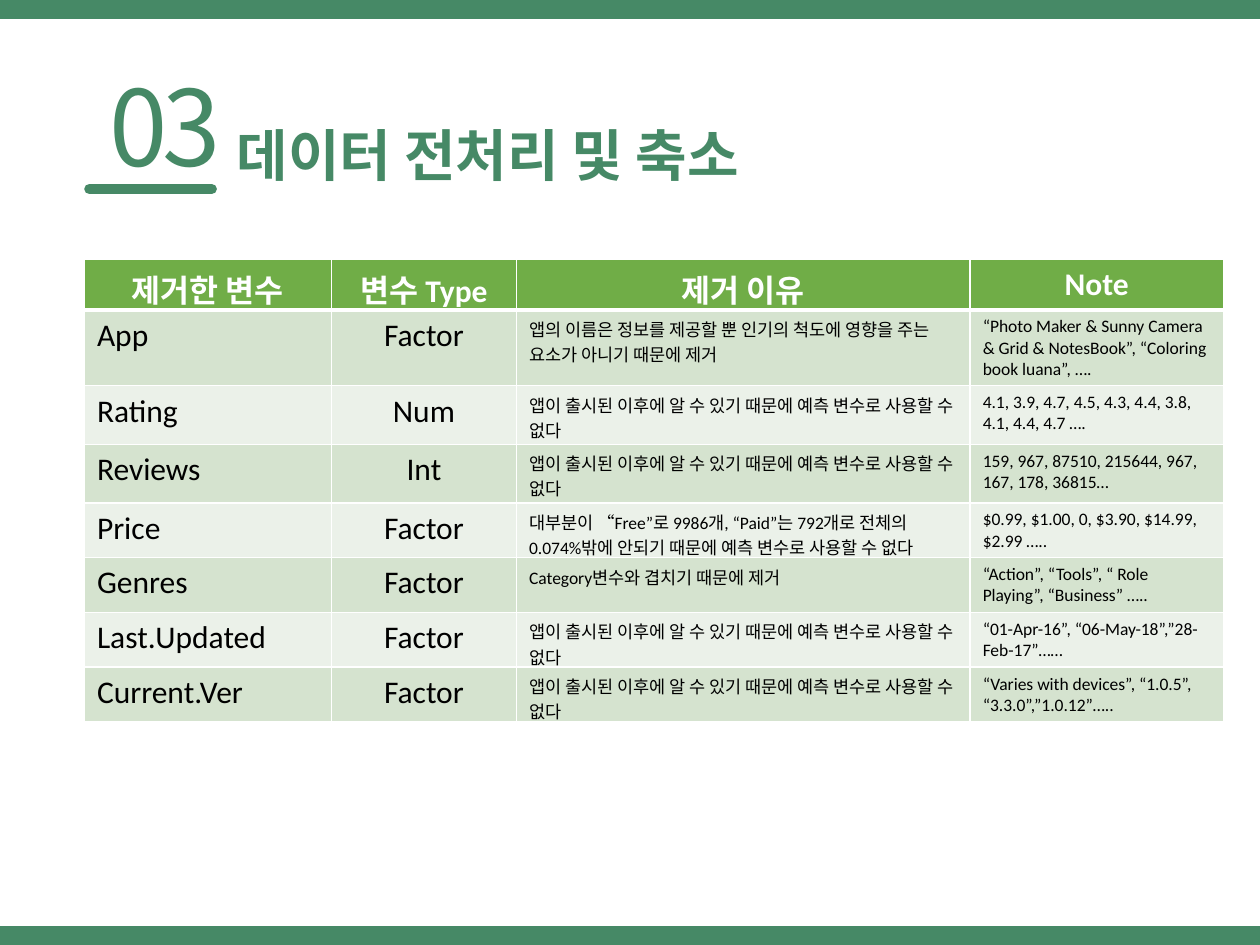
"""Build the slide on removed variables in data preprocessing."""
import lxml.etree
import pptx
import pptx.chart.data
import pptx.dml.color
import pptx.enum.shapes
import pptx.enum.text
import pptx.oxml.ns
import pptx.util

THEME = {
    "green": "468966", "header": "70AD47", "bands": ("D5E3CF", "EBF1E9"),
    "white": "FFFFFF", "black": "000000",
    "heading_font": "Noto Sans CJK KR", "body_font": "Calibri",
    "number": 60, "title": 32, "large": 18, "small": 10,
}
ALIGN = pptx.enum.text.PP_ALIGN
qn = pptx.oxml.ns.qn


def add_run(paragraph, text, size, color, font, bold=False):
    run = paragraph.add_run()
    run.text = text
    run.font.size = pptx.util.Pt(size)
    run.font.name = font
    run.font.bold = bold
    run.font.color.rgb = pptx.dml.color.RGBColor.from_string(color)
    return run


def add_border(cell, side, points):
    line = lxml.etree.SubElement(cell._tc.get_or_add_tcPr(), qn(f"a:ln{side}"),
                                 w=str(pptx.util.Pt(points)))
    fill = lxml.etree.SubElement(line, qn("a:solidFill"))
    lxml.etree.SubElement(fill, qn("a:srgbClr"), val=THEME["white"])


deck = pptx.Presentation()
deck.slide_width = pptx.util.Inches(10)
deck.slide_height = pptx.util.Inches(7.5)
slide = deck.slides.add_slide(deck.slide_layouts[6])
unit = deck.slide_width / 100
green = pptx.dml.color.RGBColor.from_string(THEME["green"])

for top in (0, 73.5):
    band = slide.shapes.add_shape(
        pptx.enum.shapes.MSO_SHAPE.RECTANGLE,
        0, int(top * unit), deck.slide_width, int(1.5 * unit))
    band.shadow.inherit = False
    band.fill.solid()
    band.fill.fore_color.rgb = green
    band.line.fill.background()

headings = [
    ("03", (0.6, 7.9, 16.9, 7.1), "number", 50, ALIGN.RIGHT, False, -300),
    ("데이터 전처리 및 축소", (18.8, 10.7, 48.1, 4.2), "title", 30, ALIGN.LEFT, True, 0),
]
for text, place, size, spacing, align, bold, tracking in headings:
    heading = slide.shapes.add_textbox(*(int(n * unit) for n in place))
    frame = heading.text_frame
    frame.word_wrap = True
    frame.auto_size = pptx.enum.text.MSO_AUTO_SIZE.SHAPE_TO_FIT_TEXT
    frame.margin_left = frame.margin_right = frame.margin_top = frame.margin_bottom = 0
    paragraph = frame.paragraphs[0]
    paragraph.alignment = align
    paragraph.line_spacing = pptx.util.Pt(spacing)
    run = add_run(paragraph, text, THEME[size], THEME["green"], THEME["heading_font"], bold)
    properties = run.font._element
    properties.set("spc", str(tracking))
    lxml.etree.SubElement(properties, qn("a:ea"), typeface=THEME["heading_font"])

underline = slide.shapes.add_connector(
    pptx.enum.shapes.MSO_CONNECTOR.STRAIGHT,
    *(int(n * unit) for n in (7.1, 15, 16.8, 15)))
underline.line.color.rgb = green
underline.line.width = pptx.util.Pt(6)
underline.line._get_or_add_ln().set("cap", "rnd")
lxml.etree.SubElement(underline._element.spPr, qn("a:effectLst"))

after_release = "앱이 출시된 이후에 알 수 있기 때문에 예측 변수로 사용할 수 없다"
rows = [
    ("제거한 변수", "변수 Type", "제거 이유", "Note"),
    ("App", "Factor", "앱의 이름은 정보를 제공할 뿐 인기의 척도에 영향을 주는 요소가 아니기 때문에 제거",
     "“Photo Maker & Sunny Camera & Grid & NotesBook”, “Coloring book luana”, …."),
    ("Rating", "Num", after_release, "4.1, 3.9, 4.7, 4.5, 4.3, 4.4, 3.8, 4.1, 4.4, 4.7 …."),
    ("Reviews", "Int", after_release, "159, 967, 87510, 215644, 967, 167, 178, 36815…"),
    ("Price", "Factor",
     "대부분이 “Free”로 9986개, “Paid”는 792개로 전체의 0.074%밖에 안되기 때문에 예측 변수로 사용할 수 없다",
     "$0.99, $1.00, 0, $3.90, $14.99, $2.99 ….."),
    ("Genres", "Factor", "Category변수와 겹치기 때문에 제거",
     "“Action”, “Tools”, “ Role Playing”, “Business” ….."),
    ("Last.Updated", "Factor", after_release, "“01-Apr-16”, “06-May-18”,”28-Feb-17”……"),
    ("Current.Ver", "Factor", after_release,
     "“Varies with devices”, “1.0.5”, “3.3.0”,”1.0.12”….."),
]
widths = (19.6, 14.7, 36, 20.1)
heights = (3.9, 6, 4.65, 4.65) + (4.35,) * 4
variables = slide.shapes.add_table(
    len(rows), len(widths), int(6.7 * unit), int(20.6 * unit),
    int(sum(widths) * unit), int(sum(heights) * unit)).table
for column, width in zip(variables.columns, widths):
    column.width = int(width * unit)

for r, (texts, height) in enumerate(zip(rows, heights)):
    variables.rows[r].height = int(height * unit)
    is_header = r == 0
    fill = THEME["header"] if is_header else THEME["bands"][(r - 1) % 2]
    color = THEME["white"] if is_header else THEME["black"]
    for c, text in enumerate(texts):
        cell = variables.cell(r, c)
        for side in "LRTB":
            at_header_edge = (r, side) in ((0, "B"), (1, "T"))
            add_border(cell, side, 3 if at_header_edge else 1)
        cell.fill.solid()
        cell.fill.fore_color.rgb = pptx.dml.color.RGBColor.from_string(fill)
        paragraph = cell.text_frame.paragraphs[0]
        paragraph.alignment = ALIGN.CENTER if is_header or c == 1 else ALIGN.LEFT
        size = THEME["large"] if is_header or c < 2 else THEME["small"]
        add_run(paragraph, text, size, color, THEME["body_font"], is_header)

deck.save("out.pptx")
